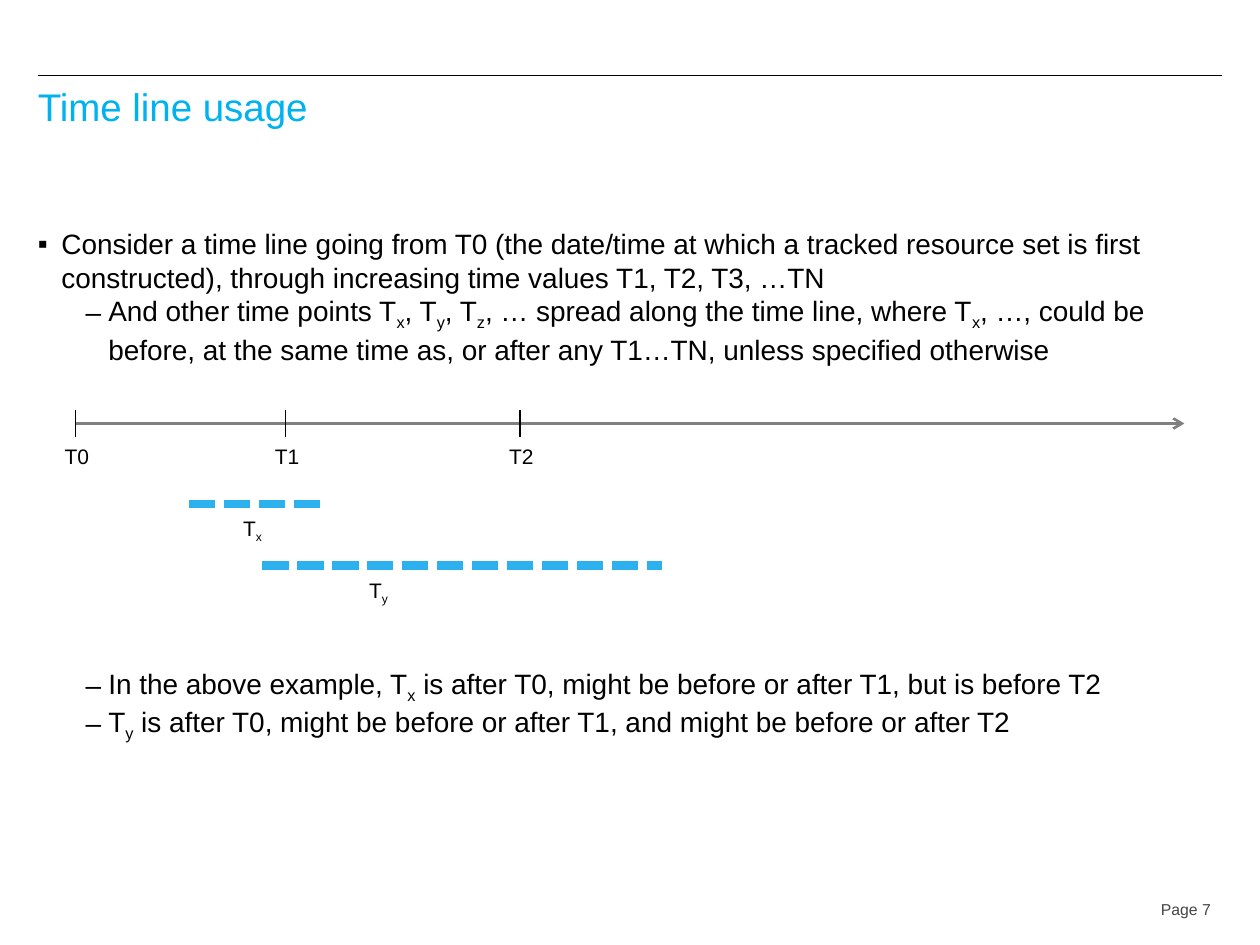
from lxml import etree
from pptx import Presentation
from pptx.dml.color import RGBColor
from pptx.enum import dml, shapes, text
from pptx.oxml import ns
from pptx.util import Pt

COLORS = {
    "text": "000000",
    "title": "00B2EF",
    "page": "454545",
    "axis": "808080",
    "range": "2CB1EE",
}
AXIS_Y = 242
LABEL_WIDTH, LABEL_HEIGHT = 30, 21.6
TIME_POINTS = [("T0", 43.2), ("T1", 163.3), ("T2", 297.2)]
TIME_RANGES = [("T_x", 108, 186, 288, 131.8), ("T_y", 150, 378, 323.2, 203.8)]
BULLETS = [
    ("Consider a time line going from T0 (the date/time at which a tracked resource set "
     "is first constructed), through increasing time values T1, T2, T3, …TN", 0, 0),
    ("And other time points T_x, T_y, T_z, … spread along the time line, where T_x, …, "
     "could be before, at the same time as, or after any T1…TN, unless specified otherwise", 1, 0),
    ("In the above example, T_x is after T0, might be before or after T1, but is before T2", 1, 172),
    ("T_y is after T0, might be before or after T1, and might be before or after T2", 1, 0),
]
LEVELS = [("▪", 13.5, -13.5), ("–", 40.3, -13)]


def color(name):
    return RGBColor.from_string(COLORS[name])


def place(shape, left, top, width, height):
    shape.left, shape.top = Pt(left), Pt(top)
    shape.width, shape.height = Pt(width), Pt(height)


def write(paragraph, content, size, color_name="text"):
    plain, *marked = content.split("_")
    paragraph.add_run().text = plain
    for part in marked:
        subscript = paragraph.add_run()
        subscript.text = part[0]
        subscript._r.get_or_add_rPr().set("baseline", "-25000")
        if part[1:]:
            paragraph.add_run().text = part[1:]
    for font in (paragraph.font, *(run.font for run in paragraph.runs)):
        font.name = "Arial"
        font.size = Pt(size)
        font.color.rgb = color(color_name)


def add_label(slide, content, left, top, width=LABEL_WIDTH, size=12, color_name="text"):
    label = slide.shapes.add_textbox(Pt(left), Pt(top), Pt(width), Pt(LABEL_HEIGHT))
    label.text_frame.word_wrap = True
    write(label.text_frame.paragraphs[0], content, size, color_name)
    return label.text_frame


def add_line(slide, start, end, color_name="text", width=0.75):
    line = slide.shapes.add_connector(
        shapes.MSO_CONNECTOR.STRAIGHT, *(Pt(value) for value in (*start, *end)))
    line.line.color.rgb = color(color_name)
    line.line.width = Pt(width)
    etree.SubElement(line._element.spPr, ns.qn("a:effectLst"))
    return line


def add_title(slide):
    title = slide.shapes.title
    place(title, 14.4, 46.8, 684, 57.6)
    frame = title.text_frame
    frame.vertical_anchor = text.MSO_ANCHOR.TOP
    frame.auto_size = text.MSO_AUTO_SIZE.NONE
    heading = frame.paragraphs[0]
    heading.alignment = text.PP_ALIGN.LEFT
    heading.line_spacing = 0.9
    write(heading, "Time line usage", 22, "title")


def set_bullet(paragraph, level):
    mark, margin, indent = LEVELS[level]
    properties = paragraph._p.get_or_add_pPr()
    properties.set("marL", str(Pt(margin)))
    properties.set("indent", str(Pt(indent)))
    bullet_color = etree.SubElement(properties, ns.qn("a:buClr"))
    etree.SubElement(bullet_color, ns.qn("a:srgbClr"), val=COLORS["text"])
    etree.SubElement(properties, ns.qn("a:buFont"), typeface="Arial")
    etree.SubElement(properties, ns.qn("a:buChar"), char=mark)


def add_bullets(slide):
    body = slide.placeholders[1]
    place(body, 14.4, 126, 684, 360)
    frame = body.text_frame
    frame.auto_size = text.MSO_AUTO_SIZE.NONE
    for index, (content, level, gap) in enumerate(BULLETS):
        paragraph = frame.add_paragraph() if index else frame.paragraphs[0]
        paragraph.level = level
        paragraph.space_before = Pt(gap)
        set_bullet(paragraph, level)
        write(paragraph, content, 16)


def add_time_line(slide):
    axis = add_line(slide, (43.2, AXIS_Y), (676.8, AXIS_Y), "axis", 1.5)
    etree.SubElement(axis.line._get_or_add_ln(), ns.qn("a:tailEnd"), type="arrow")
    for name, x in TIME_POINTS:
        add_label(slide, name, x - 13.3, 250)
        add_line(slide, (x, AXIS_Y - 8), (x, AXIS_Y + 8))


def add_time_ranges(slide):
    for name, start, end, y, label_left in TIME_RANGES:
        span = add_line(slide, (start, y), (end, y), "range", 5)
        span.line.dash_style = dml.MSO_LINE.SQUARE_DOT
        dash = span.line._get_or_add_ln().find(ns.qn("a:prstDash"))
        dash.set("val", "sysDash")
        add_label(slide, name, label_left, y + 3)


def main():
    deck = Presentation()
    deck.slide_width, deck.slide_height = Pt(720), Pt(540)
    slide = deck.slides.add_slide(deck.slide_layouts[1])
    add_line(slide, (21.6, 43.2), (698.4, 43.2))
    page = add_label(slide, "Page 7", 596, 509, 103, 9, "page")
    page.vertical_anchor = text.MSO_ANCHOR.MIDDLE
    page.paragraphs[0].alignment = text.PP_ALIGN.RIGHT
    add_bullets(slide)
    add_title(slide)
    add_time_line(slide)
    add_time_ranges(slide)
    deck.save("out.pptx")


if __name__ == "__main__":
    main()
